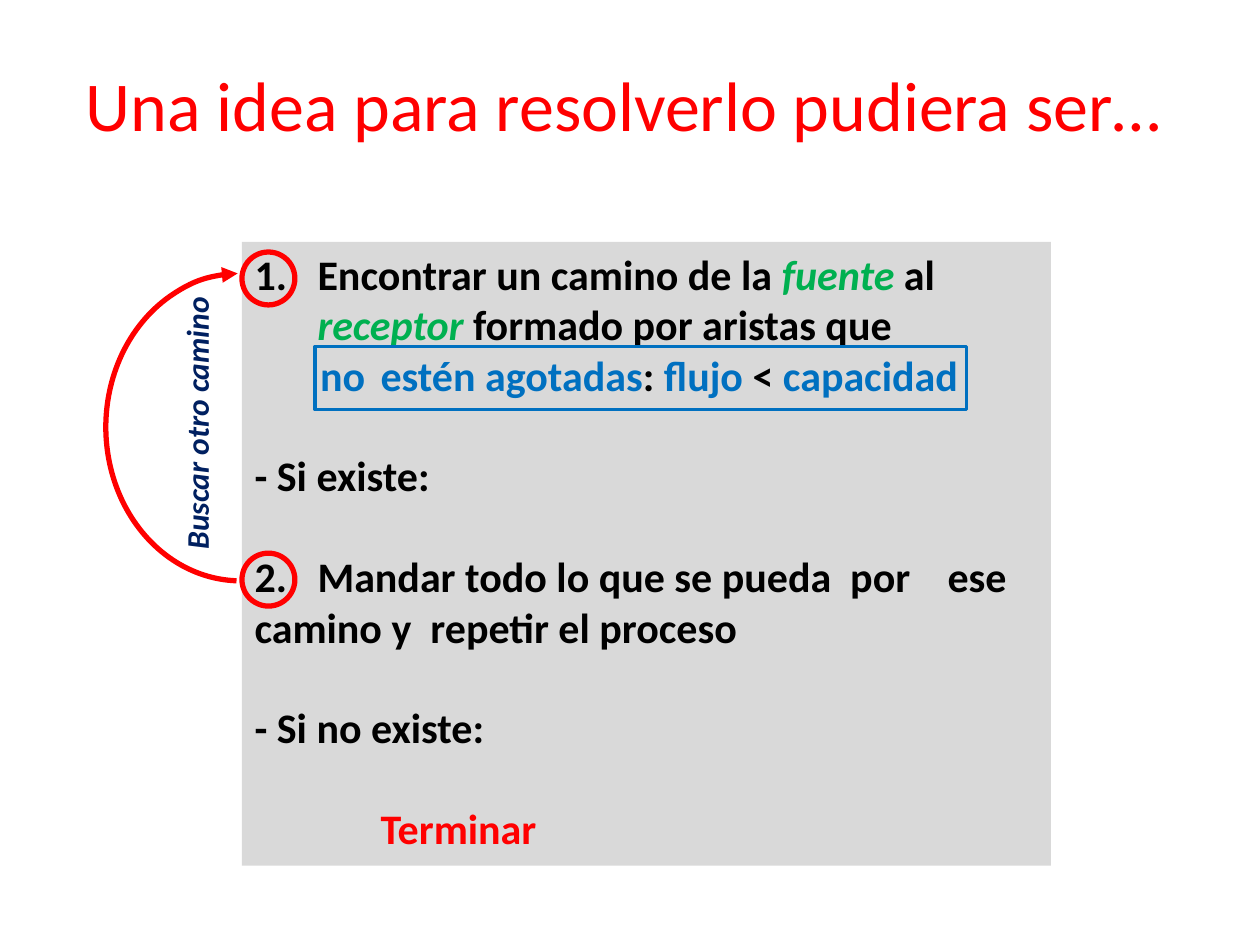
"""Build the slide that outlines an augmenting-path idea for maximum flow."""
from lxml import etree
from pptx import Presentation
from pptx.dml.color import RGBColor
from pptx.enum.shapes import MSO_SHAPE
from pptx.enum.text import MSO_ANCHOR, MSO_AUTO_SIZE, PP_ALIGN
from pptx.oxml.ns import qn
from pptx.util import Inches, Pt

RECT, OVAL, ARC = MSO_SHAPE.RECTANGLE, MSO_SHAPE.OVAL, MSO_SHAPE.ARC
TOP, NO_FIT = MSO_ANCHOR.TOP, MSO_AUTO_SIZE.NONE
LEFT, CENTER = PP_ALIGN.LEFT, PP_ALIGN.CENTER

THEME = {
    "font": "Calibri", "title": 40, "body": 24, "label": 18, "gap": 28.8,
    "red": "FF0000", "green": "00B050", "blue": "0070C0",
    "navy": "002060", "black": "000000", "panel": "D9D9D9",
}

TITLE = "Una idea para resolverlo pudiera ser…"
LABEL = "Buscar otro camino"
STEPS = [
    {"numbered": True, "margin": 0.5, "indent": -0.5, "runs": [
        ("Encontrar un camino de la ", "black"), ("fuente", "green"),
        (" al ", "black"), ("receptor ", "green"),
        ("formado por aristas que", "black")]},
    {"indent": 0.52, "runs": [
        ("no \testén agotadas", "blue"), (": ", "black"), ("flujo ", "blue"),
        ("< ", "black"), ("capacidad", "blue")]},
    {"gap": True, "runs": [("- Si existe:", "black")]},
    {"gap": True, "runs": [
        ("2. \tMandar todo lo que se pueda  por \tese camino y  repetir el proceso",
         "black")]},
    {"gap": True, "runs": [("- Si no existe:", "black")]},
    {"gap": True, "indent": 1, "runs": [("Terminar", "red")]},
]

TITLE_BOX = (0.58, 0.44, 9.83, 0.77)
PANEL_BOX = (1.92, 1.92, 6.42, 4.95)
LABEL_BOX = (0.06, 3.16, 3, 0.4)
OUTLINES = [
    (RECT, (2.5, 2.75, 5.17, 0.5), "blue", 2),
    (OVAL, (1.92, 4.39, 0.42, 0.42), "red", 3),
    (OVAL, (1.92, 2, 0.42, 0.42), "red", 3),
]
LOOP_BOX = (0.69, 2.32, 2.44, 2.14)
LOOP_ANGLES = (108.92, 215.34)


def color(name):
    return RGBColor.from_string(THEME[name])


def place(sp, box):
    sp.left, sp.top, sp.width, sp.height = map(Inches, box)


def add_run(p, text, size, tone, bold=False, italic=False):
    r = p.add_run()
    r.text = text
    r.font.name = THEME["font"]
    r.font.size = Pt(THEME[size])
    r.font.color.rgb = color(tone)
    r.font.bold, r.font.italic = bold, italic


def prepare(tf):
    tf.word_wrap = True
    tf.auto_size = NO_FIT
    tf.vertical_anchor = TOP
    return tf.paragraphs[0]


def add_title(s):
    place(s.shapes.title, TITLE_BOX)
    p = prepare(s.shapes.title.text_frame)
    p.alignment = LEFT
    add_run(p, TITLE, "title", "red")


def format_step(p, step):
    pPr = p._p.get_or_add_pPr()
    pPr.set("marL", str(Inches(step.get("margin", 0))))
    pPr.set("indent", str(Inches(step.get("indent", 0))))
    if step.get("numbered"):
        etree.SubElement(pPr, qn("a:buFont"), typeface=THEME["font"])
        etree.SubElement(pPr, qn("a:buAutoNum"), type="arabicPeriod")
    else:
        etree.SubElement(pPr, qn("a:buNone"))
    p.space_before = Pt(THEME["gap"] if step.get("gap") else 0)
    for text, tone in step["runs"]:
        add_run(p, text, "body", tone, bold=True, italic=tone == "green")


def add_steps(s):
    sp = s.placeholders[1]
    place(sp, PANEL_BOX)
    sp.fill.solid()
    sp.fill.fore_color.rgb = color("panel")
    p = prepare(sp.text_frame)
    for i, step in enumerate(STEPS):
        format_step(sp.text_frame.add_paragraph() if i else p, step)


def add_label(s):
    sp = s.shapes.add_textbox(*map(Inches, LABEL_BOX))
    sp.rotation = 270
    p = prepare(sp.text_frame)
    p.alignment = CENTER
    add_run(p, LABEL, "label", "navy", bold=True, italic=True)


def add_outline(s, kind, box, tone, width):
    sp = s.shapes.add_shape(kind, *map(Inches, box))
    sp.shadow.inherit = False
    sp.fill.background()
    sp.line.color.rgb = color(tone)
    sp.line.width = Pt(width)
    return sp


def add_loop(s):
    sp = add_outline(s, ARC, LOOP_BOX, "red", 3)
    sp.rotation = 270
    for i, angle in enumerate(LOOP_ANGLES):
        sp.adjustments[i] = angle
    ln = sp._element.spPr.find(qn("a:ln"))
    etree.SubElement(ln, qn("a:tailEnd"), type="triangle")


def main():
    prs = Presentation()
    prs.slide_width, prs.slide_height = Inches(10), Inches(7.5)
    s = prs.slides.add_slide(prs.slide_layouts[1])
    add_title(s)
    add_steps(s)
    add_label(s)
    for outline in OUTLINES:
        add_outline(s, *outline)
    add_loop(s)
    prs.save("out.pptx")


if __name__ == "__main__":
    main()
